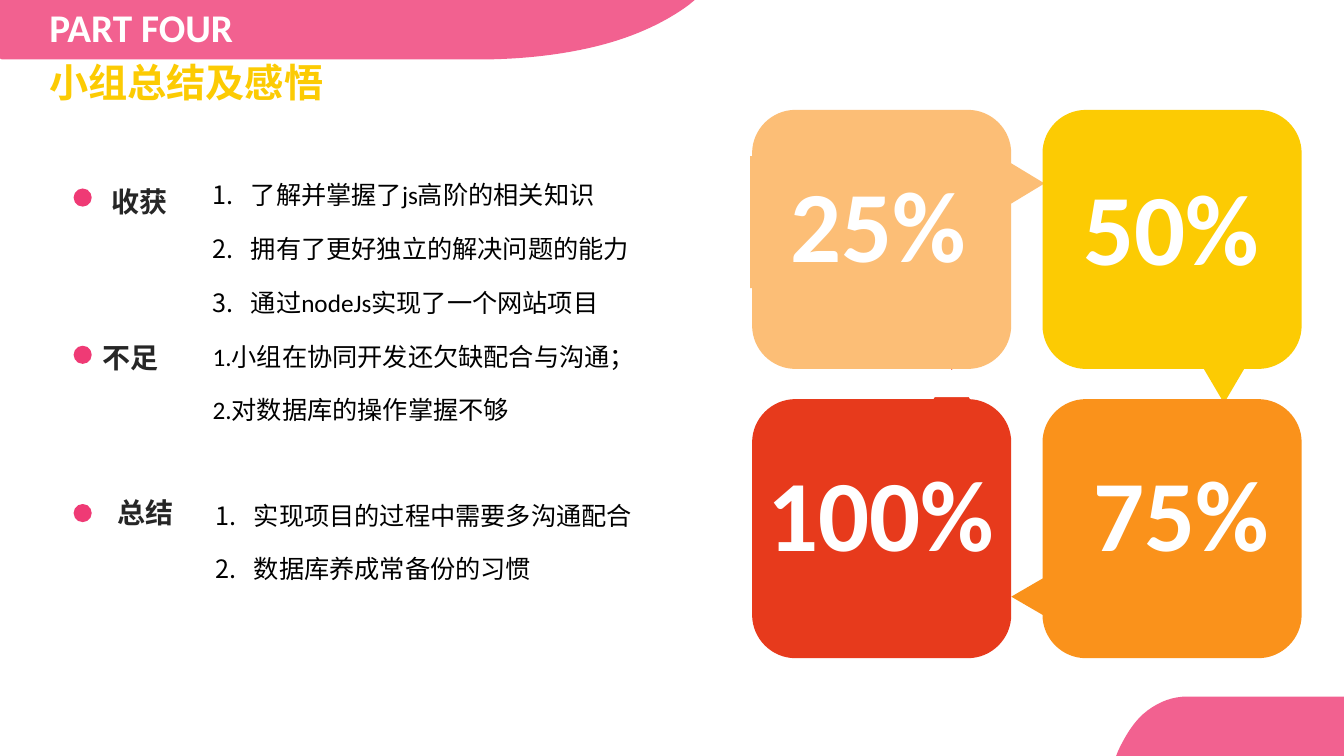
from lxml import etree
from pptx import Presentation
from pptx import util as u
from pptx.dml.color import RGBColor
from pptx.enum import shapes, text
from pptx.oxml.ns import qn

FONT = "Calibri"
PINK, YELLOW, WHITE, BLACK, DARK = "EF3A75", "FCCB03", "FFFFFF", "000000", "262626"
CARD_LEFT, CARD_TOP, CARD_SIZE, CARD_RADIUS = 7.46, 1.09, 2.57, 0.43
PITCH_X, PITCH_Y = 2.88, 2.87
CORNER_PULL = 0.45  # distance of a control point from the corner, in radii
TOP, RIGHT, BOTTOM, LEFT = range(4)
CENTER = text.PP_ALIGN.CENTER


def colour(value):
    return RGBColor.from_string(value)


def paint(shape, fill, opacity=None):
    shape.shadow.inherit = False
    shape.fill.solid()
    shape.fill.fore_color.rgb = colour(fill)
    shape.line.fill.background()
    if opacity is not None:
        solid = shape.fill._xPr.find(qn("a:solidFill"))
        etree.SubElement(solid[0], qn("a:alpha"), val=str(opacity * 1000))


def add_shape(slide, preset, box, fill):
    shape = slide.shapes.add_shape(preset, *map(u.Inches, box))
    paint(shape, fill)
    return shape


def add_outline(slide, start, steps, fill, opacity=None):
    """Each step is a list of one point (line) or three points (curve)."""
    points = [tuple(map(u.Inches, point)) for step in steps for point in step]
    builder = slide.shapes.build_freeform(*map(u.Inches, start), scale=1.0)
    builder.add_line_segments(points, close=True)
    shape = builder.convert_to_shape()
    # Join the three points of each curve into one Bézier segment
    segments = iter(list(shape._element.iter(qn("a:lnTo"))))
    for step in steps:
        group = [next(segments) for _ in step]
        if len(group) == 3:
            curve = etree.Element(qn("a:cubicBezTo"))
            group[0].addprevious(curve)
            for segment in group:
                curve.append(segment[0])
                segment.getparent().remove(segment)
    paint(shape, fill, opacity)


def add_card_outline(slide, left, top, pointer, fill):
    """Rounded square, clockwise, with a pointer on one side."""
    pointer_side, middle, half, length = pointer
    steps = []
    x, y = left, top
    for side, (dx, dy) in enumerate([(1, 0), (0, 1), (-1, 0), (0, -1)]):
        def place(along, out):
            return x + along * dx + out * dy, y + along * dy - out * dx

        if side == pointer_side:
            steps += [[place(middle - half, 0)], [place(middle, length)],
                      [place(middle + half, 0)]]
        pull = CARD_RADIUS * CORNER_PULL
        steps += [[place(CARD_SIZE - CARD_RADIUS, 0)],
                  [place(CARD_SIZE - pull, 0), place(CARD_SIZE, -pull),
                   place(CARD_SIZE, -CARD_RADIUS)]]
        x, y = place(CARD_SIZE, 0)
    add_outline(slide, (left + CARD_RADIUS, top), steps, fill)


def write(frame, lines, size, ink, bold=False, numbered=0, wrap=True,
          anchor=text.MSO_ANCHOR.TOP, **layout):
    """Write one paragraph a line; the first `numbered` ones get numbers."""
    frame.word_wrap = wrap
    frame.vertical_anchor = anchor
    for index, line in enumerate(lines):
        paragraph = frame.paragraphs[0] if index == 0 else frame.add_paragraph()
        for name, value in layout.items():
            setattr(paragraph, name, value)
        if index < numbered:
            properties = paragraph._p.get_or_add_pPr()
            indent = u.Inches(0.38)
            properties.set("marL", str(indent))
            properties.set("indent", str(-indent))
            etree.SubElement(properties, qn("a:buFont"), typeface="+mj-lt")
            etree.SubElement(properties, qn("a:buAutoNum"), type="arabicPeriod")
        run = paragraph.add_run()
        run.text = line
        for name, value in {"name": FONT, "size": u.Pt(size), "bold": bold}.items():
            setattr(run.font, name, value)
        run.font.color.rgb = colour(ink)


def add_text(slide, box, lines, size, ink, **formats):
    frame = slide.shapes.add_textbox(*map(u.Inches, box)).text_frame
    write(frame, lines, size, ink, **formats)
    return frame


def add_banners(slide):
    header = [[(6.89, 0)], [(6.83, 0.05)],
              [(6.6, 0.22), (6.3, 0.36), (5.95, 0.45)],
              [(5.6, 0.54), (5.19, 0.59), (4.73, 0.59)],
              [(0.06, 0.59)], [(0.05, 0.59), (0.03, 0.59), (0.02, 0.59)], [(0, 0.58)]]
    footer = [[(11.07, 7.5)], [(11.09, 7.45)],
              [(11.17, 7.28), (11.26, 7.14), (11.38, 7.05)],
              [(11.5, 6.96), (11.63, 6.91), (11.78, 6.91)],
              [(13.31, 6.91)], [(13.32, 6.91), (13.32, 6.91), (13.33, 6.91)],
              [(13.33, 6.92)]]
    for start, steps in [((0, 0), header), ((13.33, 7.5), footer)]:
        add_outline(slide, start, steps, PINK, opacity=80)


def add_card(slide, column, row, fill, pointer, percent, label_box, filled):
    add_card_outline(slide, CARD_LEFT + column * PITCH_X, CARD_TOP + row * PITCH_Y,
                     pointer, fill)
    formats = {"bold": True, "alignment": CENTER, "anchor": text.MSO_ANCHOR.MIDDLE}
    if filled:
        label = add_shape(slide, shapes.MSO_SHAPE.RECTANGLE, label_box, fill)
        write(label.text_frame, [percent], 72, WHITE, **formats)
    else:
        add_text(slide, label_box, [percent], 72, WHITE, **formats)


def add_topic(slide, dot_top, label, label_left, label_top):
    add_shape(slide, shapes.MSO_SHAPE.OVAL, (0.73, dot_top, 0.18, 0.18), PINK)
    add_text(slide, (label_left, label_top, 0.76, 0.44), [label], 20, DARK, bold=True,
             wrap=False, alignment=CENTER)


def add_points(slide, box, lines, numbered=0):
    return add_text(slide, box, lines, 18, BLACK, numbered=numbered,
                    line_spacing=1.5, space_after=u.Pt(6))


def main():
    deck = Presentation()
    deck.slide_width, deck.slide_height = u.Inches(13.33), u.Inches(7.5)
    slide = deck.slides.add_slide(deck.slide_layouts[6])

    # Banners and headings
    add_banners(slide)
    for top, width, heading, ink in [(0.04, 2.35, "PART FOUR", WHITE),
                                     (0.59, 3.74, "小组总结及感悟", YELLOW)]:
        add_text(slide, (0.39, top, width, 0.51), [heading], 28, ink, bold=True,
                 anchor=text.MSO_ANCHOR.MIDDLE, line_spacing=0.9)

    # Percentage cards with pointers: side, middle, half width, length
    for card in [
        (0, 0, "FCBE76", (RIGHT, 0.73, 0.2, 0.33), "25%", (7.44, 1.55, 2.55, 1.31), True),
        (1, 0, YELLOW, (BOTTOM, 0.77, 0.2, 0.34), "50%", (10.37, 1.58, 2.5, 1.31), True),
        (0, 1, "E73A1C", (TOP, 1.98, 0.18, 0.3), "100%", (7.47, 4.42, 2.53, 1.31), True),
        (1, 1, "FA921B", (LEFT, 0.61, 0.18, 0.31), "75%", (10.3, 4.42, 2.84, 1.31), False),
    ]:
        add_card(slide, *card)

    # Topics
    for topic in [(1.87, "收获", 1, 1.78), (3.43, "不足", 0.92, 3.33),
                  (5, "总结", 1.06, 4.87)]:
        add_topic(slide, *topic)

    # Gap between the left-hand cards
    add_shape(slide, shapes.MSO_SHAPE.RECTANGLE, (9.02, 3.67, 0.82, 0.27), WHITE)

    # Points of the topics
    add_points(slide, (2.04, 4.76, 4.94, 1.09),
               ["实现项目的过程中需要多沟通配合", "数据库养成常备份的习惯"], numbered=2)
    add_points(slide, (2.01, 3.19, 4.54, 1.09), ["1.小组在协同开发还欠缺配合与沟通；"])
    gains = add_points(slide, (2.01, 1.58, 4.78, 3.94),
                       ["了解并掌握了js高阶的相关知识", "拥有了更好独立的解决问题的能力",
                        "通过nodeJs实现了一个网站项目", "2.对数据库的操作掌握不够"],
                       numbered=3)
    gains.paragraphs[-1].space_before = u.Pt(38.5)

    deck.save("out.pptx")


if __name__ == "__main__":
    main()
